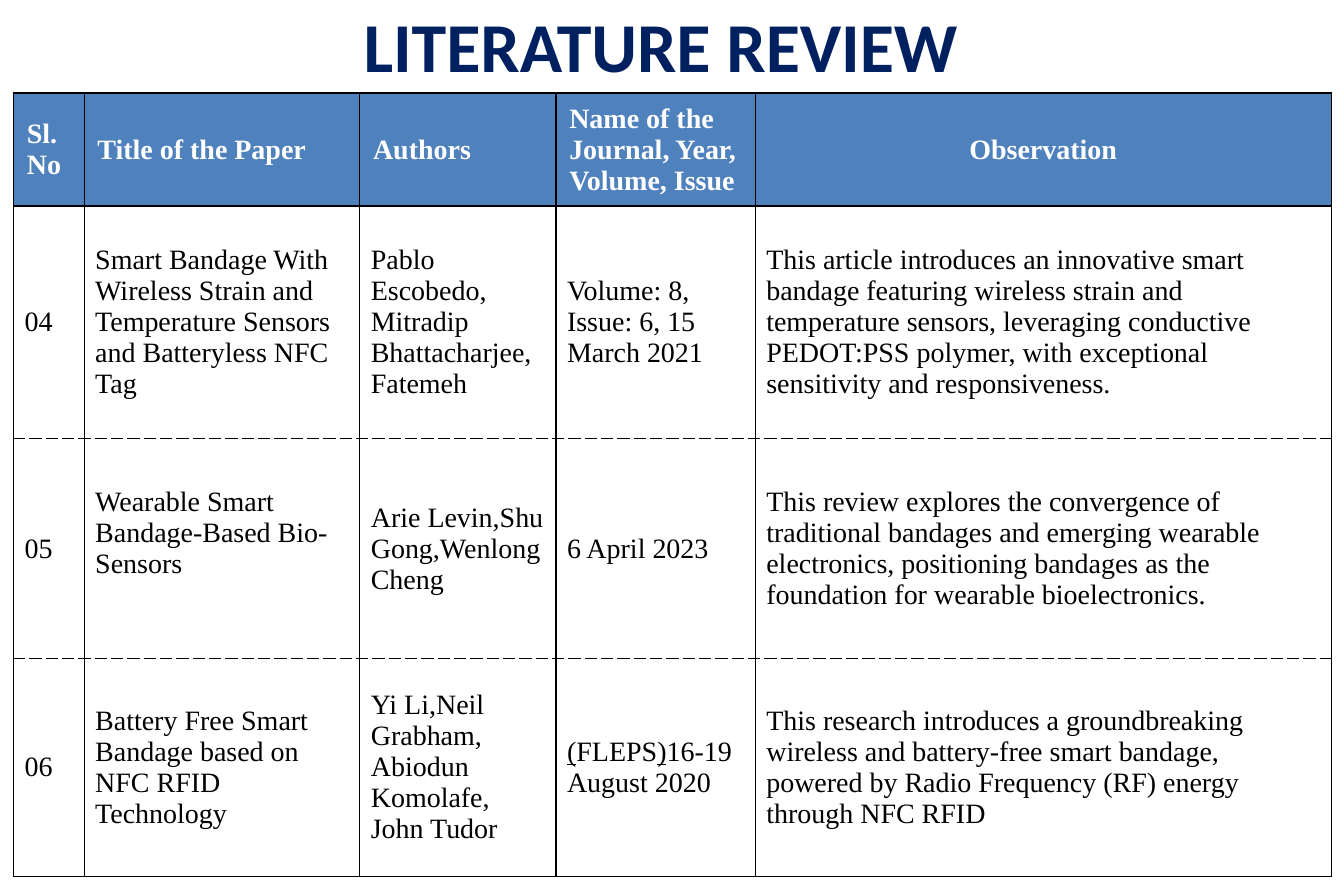
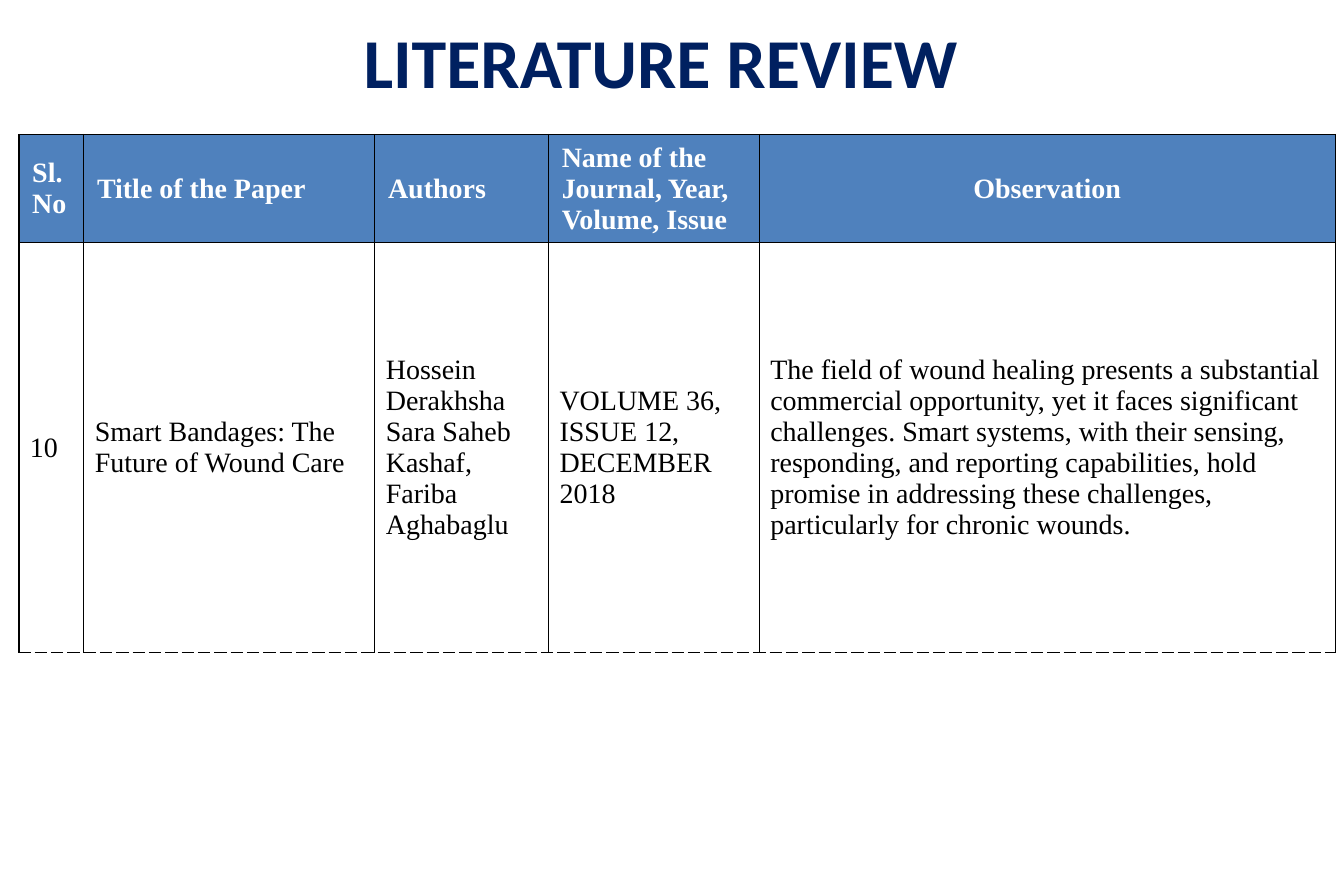
from dataclasses import dataclass

import lxml.etree
import pptx
import pptx.dml.color
import pptx.enum.text
import pptx.oxml.ns
import pptx.table
import pptx.util

Cm = pptx.util.Cm
Pt = pptx.util.Pt
RGBColor = pptx.dml.color.RGBColor
Align = pptx.enum.text.PP_ALIGN
Anchor = pptx.enum.text.MSO_ANCHOR
qn = pptx.oxml.ns.qn

# Shared colours and formats
NAVY = RGBColor(0x00, 0x20, 0x60)
BLUE = RGBColor(0x4F, 0x81, 0xBD)
WHITE = RGBColor(0xFF, 0xFF, 0xFF)
BLACK = RGBColor(0x00, 0x00, 0x00)

TITLE = "LITERATURE REVIEW"
TITLE_FONT = {"name": "Calibri", "size": Pt(45), "bold": True}
HEAD_FONT = {"name": "Times New Roman", "size": Pt(18), "bold": True}
BODY_FONT = HEAD_FONT | {"bold": False}
HEADINGS = ("Sl. No", "Title of the Paper", "Authors",
            "Name of the Journal, Year, Volume, Issue", "Observation")
HEAD_MARGINS = {"margin_left": Cm(0.3), "margin_right": Cm(0.3),
                "margin_top": Cm(0.17), "margin_bottom": Cm(0.17)}
BODY_MARGINS = {"margin_left": Cm(0.25), "margin_right": Cm(0.25),
                "margin_top": Cm(0.13), "margin_bottom": Cm(0.13)}


@dataclass(frozen=True)
class Paper:
    """One table row; underscores enclose underlined text."""
    number: str
    title: str
    authors: str
    journal: str
    observation: str
    height: float
    title_lift: float = 0

    def texts(self) -> tuple[str, ...]:
        return (self.number, self.title, self.authors, self.journal,
                self.observation)


@dataclass(frozen=True)
class Review:
    """One slide; lengths in centimetres."""
    title_top: float
    left: float
    top: float
    widths: tuple[float, ...]
    head_height: float
    papers: tuple[Paper, ...]
    closed: bool  # solid line under the last row


REVIEWS = (
    Review(-0.84, 0.31, 2.11, (1.6, 6.25, 4.45, 4.52, 13.06), 2.56, (
        Paper("04",
              "Smart Bandage With Wireless Strain and Temperature Sensors "
              "and Batteryless NFC Tag",
              "Pablo Escobedo, Mitradip Bhattacharjee, Fatemeh",
              "Volume: 8, Issue: 6, 15 March 2021",
              "This article introduces an innovative smart bandage featuring "
              "wireless strain and temperature sensors, leveraging conductive "
              "PEDOT:PSS polymer, with exceptional sensitivity and "
              "responsiveness.", 5.28),
        Paper("05", "Wearable Smart Bandage-Based Bio-Sensors",
              "Arie Levin,Shu Gong,Wenlong Cheng", "6 April 2023",
              "This review explores the convergence of traditional bandages "
              "and emerging wearable electronics, positioning bandages as the "
              "foundation for wearable bioelectronics.", 4.98, 0.7),
        Paper("06", "Battery Free Smart Bandage based on NFC RFID Technology",
              "Yi Li,Neil Grabham, Abiodun Komolafe, John Tudor",
              "_(_FLEPS_)_16-19 August 2020",
              "This research introduces a groundbreaking wireless and "
              "battery-free smart bandage, powered by Radio Frequency (RF) "
              "energy through NFC RFID", 4.95),
    ), True),
    Review(-0.48, 0.43, 3.05, (1.47, 6.6, 3.94, 4.78, 13.06), 2.42, (
        Paper("10", "Smart Bandages: The Future of Wound Care",
              "Hossein Derakhsha\nSara Saheb Kashaf,\nFariba Aghabaglu",
              "VOLUME 36, ISSUE 12, DECEMBER 2018",
              "The field of wound healing presents a substantial commercial "
              "opportunity, yet it faces significant challenges. Smart "
              "systems, with their sensing, responding, and reporting "
              "capabilities, hold promise in addressing these challenges, "
              "particularly for chronic wounds.", 9.3),
    ), False),
)


def apply(target: object, values: dict) -> None:
    for name, value in values.items():
        setattr(target, name, value)


def set_borders(cell: pptx.table._Cell, top: str, bottom: str) -> None:
    tc_pr = cell._tc.get_or_add_tcPr()
    dashes = {"L": "solid", "R": "solid", "T": top, "B": bottom}
    for side, dash in dashes.items():
        ln = lxml.etree.SubElement(tc_pr, qn(f"a:ln{side}"), w=str(Pt(1)))
        fill = lxml.etree.SubElement(ln, qn("a:solidFill"))
        lxml.etree.SubElement(fill, qn("a:srgbClr"), val=str(BLACK))
        lxml.etree.SubElement(ln, qn("a:prstDash"), val=dash)


def write_cell(cell: pptx.table._Cell, text: str, font: dict,
               color: RGBColor, margins: dict) -> None:
    apply(cell, margins | {"vertical_anchor": Anchor.MIDDLE})
    tf = cell.text_frame
    for i, line in enumerate(text.split("\n")):
        p = tf.add_paragraph() if i else tf.paragraphs[0]
        for j, part in enumerate(line.split("_")):
            if part:
                r = p.add_run()
                r.text = part
                apply(r.font, font)
                r.font.color.rgb = color
                if j % 2:
                    r.font.underline = True


def add_title(s: pptx.slide.Slide, top: float) -> None:
    sp = s.shapes.title
    apply(sp, {"left": Cm(1.27), "top": Cm(top),
               "width": Cm(27.43), "height": Cm(3.71)})
    tf = sp.text_frame
    apply(tf, {"vertical_anchor": Anchor.MIDDLE, "word_wrap": True,
               "auto_size": pptx.enum.text.MSO_AUTO_SIZE.NONE})
    p = tf.paragraphs[0]
    p.alignment = Align.CENTER
    r = p.add_run()
    r.text = TITLE
    apply(r.font, TITLE_FONT)
    r.font.color.rgb = NAVY


def add_papers(s: pptx.slide.Slide, review: Review) -> None:
    heights = [review.head_height] + [p.height for p in review.papers]
    table = s.shapes.add_table(
        len(heights), len(HEADINGS), Cm(review.left), Cm(review.top),
        Cm(sum(review.widths)), Cm(sum(heights))).table
    for column, width in zip(table.columns, review.widths):
        column.width = Cm(width)
    for row, height in zip(table.rows, heights):
        row.height = Cm(height)

    # Header row
    for cell, heading in zip(table.rows[0].cells, HEADINGS):
        write_cell(cell, heading, HEAD_FONT, WHITE, HEAD_MARGINS)
        set_borders(cell, "solid", "solid")
        cell.fill.solid()
        cell.fill.fore_color.rgb = BLUE
    table.cell(0, 4).text_frame.paragraphs[0].alignment = Align.CENTER

    # Paper rows, parted by dashed lines
    last = len(review.papers)
    for i, paper in enumerate(review.papers, 1):
        top = "solid" if i == 1 else "sysDash"
        bottom = "solid" if i == last and review.closed else "sysDash"
        for cell, text in zip(table.rows[i].cells, paper.texts()):
            write_cell(cell, text, BODY_FONT, BLACK, BODY_MARGINS)
            set_borders(cell, top, bottom)
            cell.fill.background()
        table.cell(i, 1).margin_bottom += Cm(paper.title_lift)


def main() -> None:
    prs = pptx.Presentation()
    apply(prs, {"slide_width": Cm(30.48), "slide_height": Cm(20.32)})
    for review in REVIEWS:
        s = prs.slides.add_slide(prs.slide_layouts[5])
        add_title(s, review.title_top)
        add_papers(s, review)
    prs.save("out.pptx")


if __name__ == "__main__":
    main()
